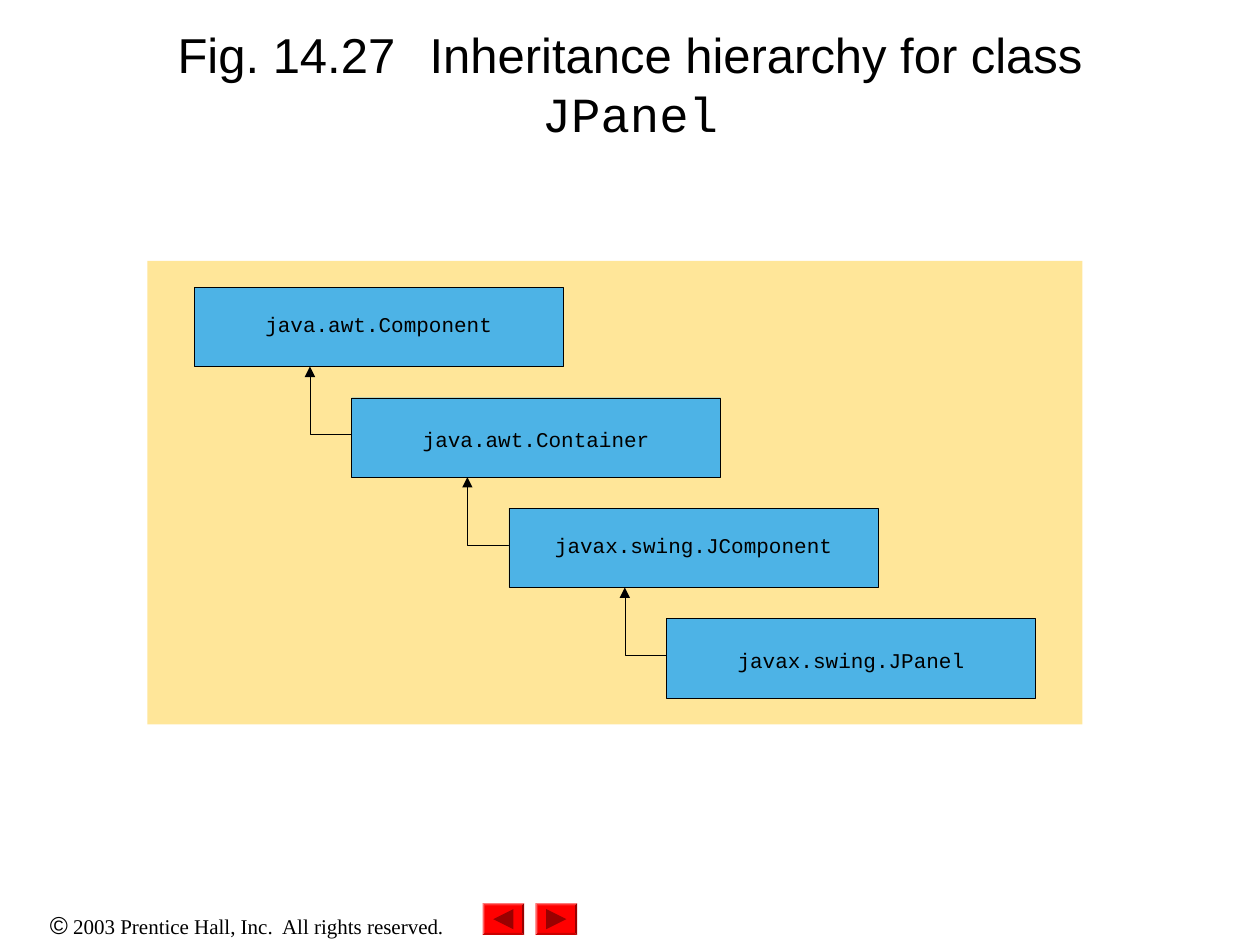
from lxml.etree import SubElement
from pptx import Presentation
from pptx.dml.color import RGBColor
from pptx.enum.shapes import MSO_SHAPE as Preset
from pptx.enum.text import MSO_ANCHOR as Anchor, MSO_AUTO_SIZE as AutoSize, PP_ALIGN as Align
from pptx.oxml.ns import qn
from pptx.util import Inches, Pt

COLORS = {
    "text": "000000",
    "panel": "FFE699",
    "class": "4DB3E6",
    "line": "000000",
    "button": "FF0000",
    "arrow": "990000",
}
CLASSES = [
    "java.awt.Component",
    "java.awt.Container",
    "javax.swing.JComponent",
    "javax.swing.JPanel",
]


def inches(*lengths):
    return [Inches(length) for length in lengths]


def color(name):
    return RGBColor.from_string(COLORS[name])


def add_run(paragraph, text, font="Arial", size=12):
    run = paragraph.add_run()
    run.text = text
    run.font.name = font
    run.font.size = Pt(size)
    run.font.color.rgb = color("text")


def format_frame(frame, anchor=Anchor.TOP, insets=(0.1, 0.05, 0.1, 0.05)):
    frame.word_wrap = True
    frame.auto_size = AutoSize.NONE
    frame.vertical_anchor = anchor
    (frame.margin_left, frame.margin_top,
     frame.margin_right, frame.margin_bottom) = inches(*insets)
    paragraph = frame.paragraphs[0]
    paragraph.alignment = Align.CENTER
    return paragraph


def add_block(slide, preset, box, fill, line=None):
    block = slide.shapes.add_shape(preset, *inches(*box))
    block.shadow.inherit = False
    block.fill.solid()
    block.fill.fore_color.rgb = color(fill)
    if line:
        block.line.color.rgb = color(line)
        block.line.width = Pt(0.2)
    else:
        block.line.fill.background()
    return block


def add_title(slide, box):
    title = slide.shapes.title
    title.left, title.top, title.width, title.height = inches(*box)
    paragraph = format_frame(title.text_frame, Anchor.MIDDLE)
    tabs = SubElement(paragraph._p.get_or_add_pPr(), qn("a:tabLst"))
    for column in range(8):
        SubElement(tabs, qn("a:tab"), pos=str(Inches(column)), algn="l")
    add_run(paragraph, "Fig. 14.27\tInheritance hierarchy for class ", size=28)
    add_run(paragraph, "JPanel", "Courier New", 28)


def add_inheritance_arrow(slide, parent_bottom, child_left, child_middle):
    stem = child_left - 0.33
    builder = slide.shapes.build_freeform(
        *inches(stem, parent_bottom), scale=1.0)
    builder.add_line_segments(
        [inches(stem, child_middle), inches(child_left, child_middle)], close=False)
    arrow = builder.convert_to_shape()
    arrow.shadow.inherit = False
    arrow.fill.background()
    arrow.line.color.rgb = color("line")
    arrow.line.width = Pt(0.2)
    SubElement(arrow.line._get_or_add_ln(), qn("a:headEnd"), type="triangle")


def add_hierarchy(slide, box):
    left, top, width, height = box
    add_block(slide, Preset.RECTANGLE, box, "panel")
    margin_x, margin_y = 0.05 * width, 0.057 * height
    class_width, class_height = 2.93, 0.63
    step_x = (width - 2 * margin_x - class_width) / (len(CLASSES) - 1)
    step_y = (height - 2 * margin_y - class_height) / (len(CLASSES) - 1)
    for level, name in enumerate(CLASSES):
        class_left = left + margin_x + level * step_x
        class_top = top + margin_y + level * step_y
        if level:
            add_inheritance_arrow(slide, class_top - step_y + class_height,
                                  class_left, class_top + 0.29)
        block = add_block(slide, Preset.RECTANGLE,
                          (class_left, class_top, class_width, class_height),
                          "class", "line")
        text_top = 0.27 if level % 2 else 0.23
        label = format_frame(block.text_frame, insets=(0, text_top, 0, 0))
        label.line_spacing = 0.8
        add_run(label, name, "Courier New")


def add_copyright(slide, box):
    notice = slide.shapes.add_textbox(*inches(*box))
    paragraph = format_frame(notice.text_frame)
    add_run(paragraph, "©", size=14)
    add_run(paragraph, " 2003 Prentice Hall, Inc.  All rights reserved.", "Times New Roman")


def add_navigation_button(slide, box, rotation):
    left, top, width, height = box
    button = add_block(slide, Preset.BEVEL, box, "button")
    button.adjustments[0] = 0.06
    side = 0.64 * height
    arrow = add_block(slide, Preset.ISOSCELES_TRIANGLE,
                      (left + (width - side) / 2, top + (height - side) / 2, side, side),
                      "arrow")
    arrow.rotation = rotation


def main():
    deck = Presentation()
    deck.slide_width, deck.slide_height = inches(10, 7.5)
    slide = deck.slides.add_slide(deck.slide_layouts[5])
    footer_top = 7.17
    add_copyright(slide, (0, footer_top, 3.92, 0.34))
    for left, rotation in ((3.83, 270), (4.25, 90)):
        add_navigation_button(slide, (left, footer_top, 0.33, 0.25), rotation)
    add_title(slide, (0.75, 0.08, 8.5, 1.17))
    add_hierarchy(slide, (1.17, 2.07, 7.42, 3.68))
    deck.save("out.pptx")


if __name__ == "__main__":
    main()
